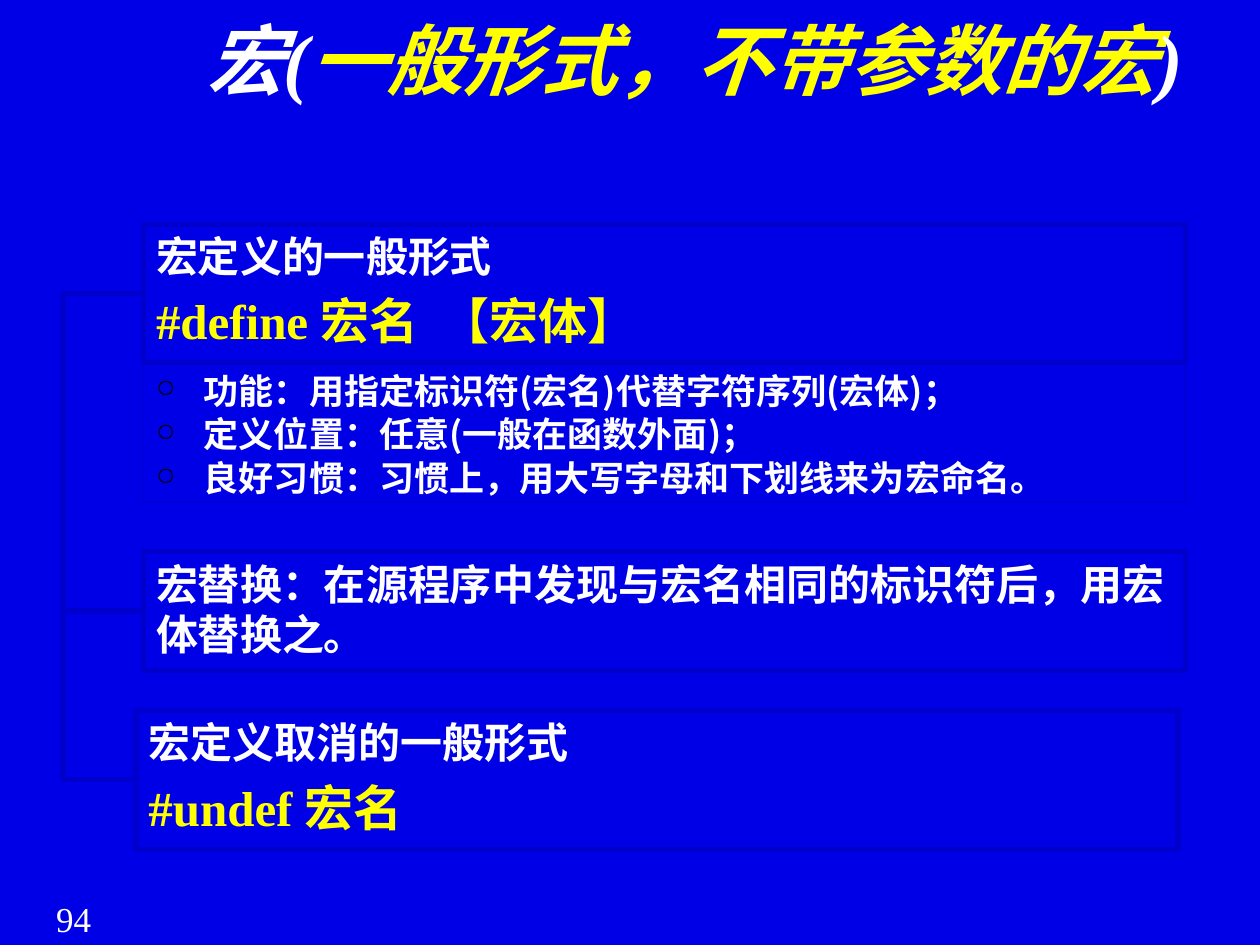
from dataclasses import dataclass

from lxml.etree import SubElement
from pptx import Presentation
from pptx.dml.color import RGBColor
from pptx.enum.shapes import MSO_CONNECTOR, MSO_SHAPE
from pptx.enum.text import MSO_ANCHOR, PP_ALIGN
from pptx.oxml.ns import qn
from pptx.util import Inches, Pt


@dataclass(frozen=True)
class Theme:
    background: RGBColor = RGBColor(0x00, 0x00, 0xE7)
    border: RGBColor = RGBColor(0x00, 0x00, 0xCC)
    white: RGBColor = RGBColor(0xFF, 0xFF, 0xFF)
    yellow: RGBColor = RGBColor(0xFF, 0xFF, 0x00)
    bullet: str = "000000"
    serif: str = "Times New Roman"
    sans: str = "Noto Sans CJK SC"
    title: int = 44
    code: int = 28
    heading: int = 24
    body: int = 20
    thick: float = 3
    thin: float = 0.75


THEME = Theme()
HEADING = {"name": THEME.serif, "size": Pt(THEME.heading), "bold": True, "color": THEME.white}
CODE = HEADING | {"size": Pt(THEME.code), "color": THEME.yellow}
BODY = HEADING | {"name": THEME.sans, "size": Pt(THEME.body)}
TITLE = HEADING | {"size": Pt(THEME.title), "italic": True}
NUMBER = {"name": THEME.serif, "size": Pt(THEME.body), "color": THEME.white}


def add_span(para, text, formats):
    span = para.add_run()
    span.text = text
    for key, value in formats.items():
        if key == "color":
            span.font.color.rgb = value
        else:
            setattr(span.font, key, value)


def set_indent(para, bullet=None):
    properties = para._p.get_or_add_pPr()
    properties.set("marL", str(Inches(0.38)))
    properties.set("indent", str(Inches(-0.38)))
    if bullet:
        color = SubElement(properties, qn("a:buClr"))
        SubElement(color, qn("a:srgbClr"), val=THEME.bullet)
        SubElement(properties, qn("a:buSzPct"), val="70000")
        SubElement(properties, qn("a:buChar"), char=bullet)


def add_text_box(page, bounds, spans, align):
    box = page.shapes.add_textbox(*map(Inches, bounds))
    box.text_frame.word_wrap = True
    para = box.text_frame.paragraphs[0]
    para.alignment = align
    for text, formats in spans:
        add_span(para, text, formats)


def add_panel(page, bounds, lines, width=THEME.thick, indented=False, bullet=None):
    box = page.shapes.add_shape(MSO_SHAPE.RECTANGLE, *map(Inches, bounds))
    box.shadow.inherit = False
    box.fill.background()
    box.line.color.rgb = THEME.border
    box.line.width = Pt(width)
    frame = box.text_frame
    frame.word_wrap = True
    frame.vertical_anchor = MSO_ANCHOR.TOP
    for index, (text, formats, gap) in enumerate(lines):
        para = frame.add_paragraph() if index else frame.paragraphs[0]
        if indented:
            set_indent(para, bullet)
        para.alignment = PP_ALIGN.LEFT
        if index:
            para.space_before = Pt(gap)
        add_span(para, text, formats)


def add_bracket(page, start, end, spine):
    points = map(Inches, (*start, *end))
    bracket = page.shapes.add_connector(MSO_CONNECTOR.ELBOW, *points)
    bracket.line.color.rgb = THEME.border
    bracket.line.width = Pt(THEME.thick)
    SubElement(bracket._element.spPr, qn("a:effectLst"))
    ratio = (spine - start[0]) / (end[0] - start[0])
    guides = bracket._element.spPr.find(qn("a:prstGeom")).get_or_add_avLst()
    SubElement(guides, qn("a:gd"), name="adj1", fmla=f"val {round(ratio * 100000)}")


def add_definition(page, left, top, width, height):
    add_panel(page, (left, top, width, height), [
        ("宏定义的一般形式", HEADING, 0),
        ("#define 宏名  【宏体】", CODE, 5.6),
    ], indented=True)
    add_panel(page, (left, top + height, width, height), [
        ("功能：用指定标识符(宏名)代替字符序列(宏体)；", BODY, 0),
        ("定义位置：任意(一般在函数外面)；", BODY, 1),
        ("良好习惯：习惯上，用大写字母和下划线来为宏命名。", BODY, 1),
    ], width=THEME.thin, indented=True, bullet="○")


def add_replacement(page, left, top, width, height):
    add_panel(page, (left, top, width, height), [
        ("宏替换：在源程序中发现与宏名相同的标识符后，用宏体替换之。", HEADING, 0),
    ])


def add_cancellation(page, left, top, width, height):
    add_panel(page, (left, top, width, height), [
        ("宏定义取消的一般形式", HEADING, 0),
        ("#undef 宏名", CODE, 5.6),
    ])


def build_page(deck):
    page = deck.slides.add_slide(deck.slide_layouts[6])
    page.background.fill.solid()
    page.background.fill.fore_color.rgb = THEME.background
    add_text_box(page, (0.17, 7.07, 0.83, 0.43), [("94", NUMBER)], PP_ALIGN.CENTER)
    add_text_box(page, (1.38, 0.05, 8.27, 1.25), [
        ("宏(", TITLE),
        ("一般形式，不带参数的宏", TITLE | {"color": THEME.yellow}),
        (")", TITLE),
    ], PP_ALIGN.CENTER)
    add_definition(page, 1.14, 1.78, 8.27, 1.1)
    add_replacement(page, 1.14, 4.38, 8.27, 0.94)
    add_bracket(page, (1.12, 2.33), (1.13, 4.85), 0.49)
    add_cancellation(page, 1.08, 5.64, 8.27, 1.1)
    add_bracket(page, (1.12, 2.33), (1.06, 6.19), 0.5)


def main():
    deck = Presentation()
    deck.slide_width = Inches(10)
    deck.slide_height = Inches(7.5)
    build_page(deck)
    deck.save("out.pptx")


if __name__ == "__main__":
    main()
